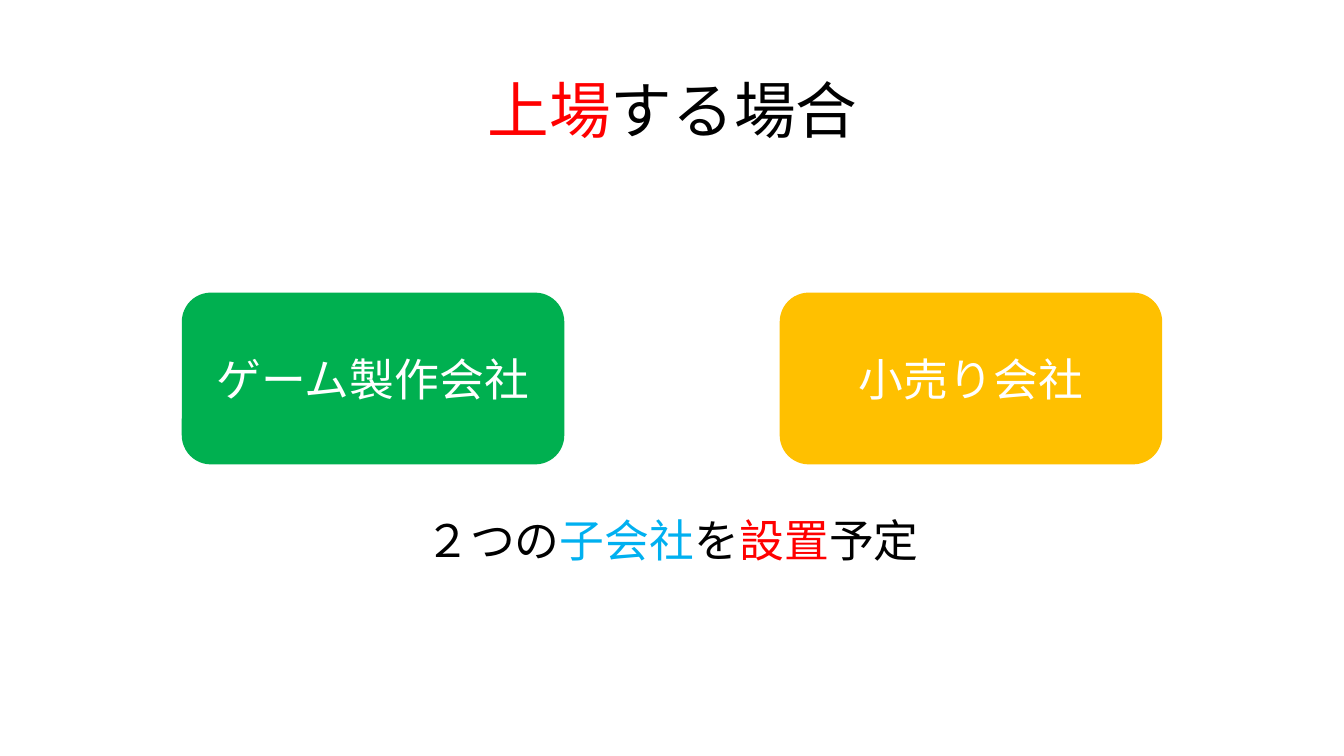
from pptx import Presentation
from pptx.dml.color import RGBColor
from pptx.enum import shapes, text
from pptx.util import Inches, Pt

COLORS = {"black": "000000", "white": "FFFFFF", "red": "FF0000",
          "blue": "00B0F0", "green": "00B050", "amber": "FFC000"}
HEADING = [("上場", "red"), ("する場合", "black")]
SUBSIDIARIES = [("ゲーム製作会社", "green"), ("小売り会社", "amber")]
PLAN = [("２つの", "black"), ("子会社", "blue"), ("を", "black"),
        ("設置", "red"), ("予定", "black")]

WIDTH, HEIGHT = 13.33, 7.5
MARGIN = 1.81
CARD_WIDTH, CARD_HEIGHT, CARD_TOP = 3.78, 1.69, 2.91
CONTENT_WIDTH = WIDTH - 2 * MARGIN
CARD_STEP = CONTENT_WIDTH - CARD_WIDTH


def color(name):
    return RGBColor.from_string(COLORS[name])


def write(frame, parts, font, size, anchor):
    """Fill a frame with one centred line of coloured parts."""
    frame.word_wrap = True
    frame.vertical_anchor = anchor
    line = frame.paragraphs[0]
    line.alignment = text.PP_ALIGN.CENTER
    for words, tone in parts:
        run = line.add_run()
        run.text = words
        run.font.name = font
        run.font.size = Pt(size)
        run.font.color.rgb = color(tone)
    return line


deck = Presentation()
deck.slide_width, deck.slide_height = Inches(WIDTH), Inches(HEIGHT)
slide = deck.slides.add_slide(deck.slide_layouts[5])

title = slide.shapes.title
title.left, title.top = Inches(0.92), Inches(0.4)
title.width, title.height = Inches(11.5), Inches(1.45)
heading = write(title.text_frame, HEADING, "Cambria", 44, text.MSO_ANCHOR.MIDDLE)
heading.line_spacing = 0.9

for column, (company, tone) in enumerate(SUBSIDIARIES):
    card = slide.shapes.add_shape(
        shapes.MSO_SHAPE.ROUNDED_RECTANGLE,
        Inches(MARGIN + column * CARD_STEP), Inches(CARD_TOP),
        Inches(CARD_WIDTH), Inches(CARD_HEIGHT))
    card.shadow.inherit = False
    card.fill.solid()
    card.fill.fore_color.rgb = color(tone)
    card.line.color.rgb = color(tone)
    card.line.width = Pt(1)
    write(card.text_frame, [(company, "white")], "Calibri", 32, text.MSO_ANCHOR.MIDDLE)

plan = slide.shapes.add_textbox(Inches(MARGIN), Inches(5.04),
                                Inches(CONTENT_WIDTH), Inches(0.64))
write(plan.text_frame, PLAN, "Calibri", 32, text.MSO_ANCHOR.TOP)
plan.text_frame.auto_size = text.MSO_AUTO_SIZE.SHAPE_TO_FIT_TEXT

deck.save("out.pptx")
